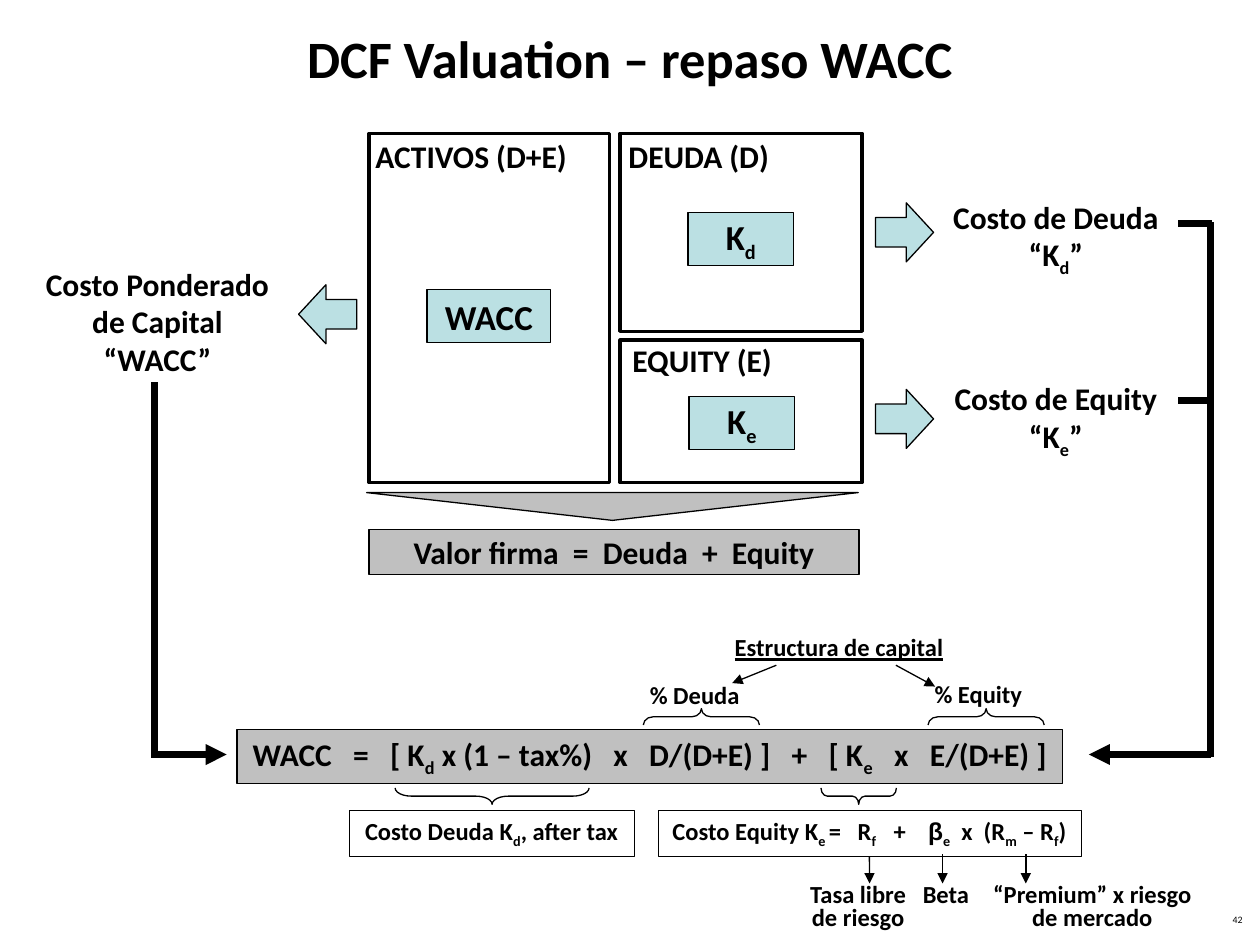
import pptx
import pptx.util
import pptx.dml.color
import pptx.enum.shapes
import pptx.enum.text
import pptx.oxml
import pptx.oxml.ns

Cm, Pt = pptx.util.Cm, pptx.util.Pt
Shape = pptx.enum.shapes.MSO_SHAPE
Align = pptx.enum.text.PP_ALIGN
Anchor = pptx.enum.text.MSO_ANCHOR
COLORS = {"ink": "000000", "panel": "FFFFFF", "rate": "BBE0E3", "result": "C0C0C0"}
RGB = {name: pptx.dml.color.RGBColor.from_string(value) for name, value in COLORS.items()}

deck = pptx.Presentation()
deck.slide_width, deck.slide_height = Cm(25.4), Cm(19.05)
page = deck.slides.add_slide(deck.slide_layouts[6])


def write(box, text, size, align=Align.CENTER, anchor=Anchor.TOP, wrap=True,
          spacing=None, underline=None):
    """Fill a box with one paragraph; every second piece between bars is a subscript."""
    frame = box.text_frame
    para = frame.paragraphs[0]
    for name, value in {"word_wrap": wrap, "vertical_anchor": anchor}.items():
        setattr(frame, name, value)
    for name, value in {"alignment": align, "line_spacing": spacing}.items():
        setattr(para, name, value)
    for index, piece in enumerate(text.split("|")):
        if not piece:
            continue
        span = para.add_run()
        span.text = piece
        style = {"name": "Arial" if piece == "β" else "Calibri", "size": Pt(size),
                 "bold": size > 6, "underline": underline}
        for name, value in style.items():
            setattr(span.font, name, value)
        span.font.color.rgb = RGB["ink"]
        if index % 2:
            span.font._element.set("baseline", "-25000")


def draw(kind, place, fill=None, weight=0.75, rotation=0):
    shape = page.shapes.add_shape(kind, *[Cm(length) for length in place])
    shape.shadow.inherit = False
    shape.rotation = rotation
    if fill:
        shape.fill.solid()
        shape.fill.fore_color.rgb = RGB[fill]
    else:
        shape.fill.background()
    shape.line.color.rgb = RGB["ink"]
    shape.line.width = Pt(weight)
    return shape


# Balance sheet panels
for place in [(7.44, 2.69, 4.85, 7.04), (12.5, 2.69, 4.88, 3.99), (12.5, 6.86, 4.88, 2.87)]:
    draw(Shape.RECTANGLE, place, "panel", 2)

# Filled boxes with a single centred line
for place, fill, text, size in [
    ((8.61, 5.84, 2.49, 1.07), "rate", "WACC", 20),
    ((13.87, 4.29, 2.13, 1.07), "rate", "K|d", 20),
    ((13.89, 8, 2.13, 1.07), "rate", "K|e", 20),
    ((7.44, 10.67, 9.88, 0.91), "result", "Valor firma  =  Deuda  +  Equity", 18),
    ((4.78, 14.71, 16.64, 1.09), "result",
     "WACC   =   [ K|d| x (1 – tax%)   x   D/(D+E) ]   +   [ K|e|   x   E/(D+E) ]", 18),
]:
    write(draw(Shape.RECTANGLE, place, fill), text, size, anchor=Anchor.MIDDLE, wrap=False)

# Outlined boxes that break the formula down
debt_cost = draw(Shape.RECTANGLE, (7.04, 16.33, 5.74, 0.94), weight=0.25)
write(debt_cost, "Costo Deuda K|d|, after tax", 14)
equity_cost = draw(Shape.RECTANGLE, (13.26, 16.33, 8.53, 0.94), weight=0.25)
write(equity_cost, "Costo Equity K|e |=   R|f  |  +    ||β|e|  x  (R|m| – R|f|)", 14)

draw(Shape.ISOSCELES_TRIANGLE, (7.39, 9.93, 9.91, 0.56), "result", rotation=180)

for left, top, rotation in [(17.65, 4.09, 0), (17.65, 7.85, 0), (6.02, 5.74, 180)]:
    arrow = draw(Shape.RIGHT_ARROW, (left, top, 1.17, 1.19), "rate", rotation=rotation)
    arrow.adjustments[0], arrow.adjustments[1] = 0.5, 0.47

# Braces, turned about their centres to point down (90) or up (270)
thickness = 0.33
for x, y, length, rotation in [(9.92, 16.05, 3.91, 90), (17.31, 16.05, 1.52, 90),
                               (14.14, 14.45, 2.34, 270), (19.88, 14.45, 2.34, 270)]:
    place = (x - thickness / 2, y - length / 2, thickness, length)
    brace = draw(Shape.RIGHT_BRACE, place, rotation=rotation)
    brace.adjustments[0] = length / thickness / 12

# Free-standing text
heading = {"size": 18, "align": Align.LEFT, "wrap": False}
cost = {"size": 18}
share = {"size": 14, "align": Align.LEFT}
term = {"size": 14, "spacing": 0.8}
for place, text, style in [
    ((0, 0, 25.4, 2.31), "DCF Valuation – repaso WACC", {"size": 30, "anchor": Anchor.MIDDLE}),
    ((7.32, 2.64, 4.37, 1.02), "ACTIVOS (D+E)", heading),
    ((12.42, 2.64, 3.35, 1.02), "DEUDA (D)", heading),
    ((12.5, 6.76, 3.33, 1.02), "EQUITY (E)", heading),
    ((18.72, 3.86, 5.13, 1.88), "Costo de Deuda “K|d|”", cost),
    ((18.72, 7.52, 5.13, 1.88), "Costo de Equity “K|e|”", cost),
    ((0.61, 5.21, 5.13, 2.54), "Costo Ponderado de Capital “WACC”", cost),
    ((14.35, 12.62, 5.13, 0.86), "Estructura de capital", {"size": 14, "underline": True}),
    ((12.85, 13.59, 2.64, 0.86), "% Deuda", share),
    ((18.59, 13.56, 2.29, 0.86), "% Equity", share),
    ((15.98, 17.7, 2.64, 1.22), "Tasa libre de riesgo", term),
    ((18.31, 17.7, 1.52, 0.74), "Beta", term),
    ((19.71, 17.7, 4.62, 1.22), "“Premium” x riesgo de mercado", term),
    ((19.38, 18.34, 5.92, 0.53), "42", {"size": 5.6, "align": Align.RIGHT, "spacing": 0.8}),
]:
    write(page.shapes.add_textbox(*[Cm(length) for length in place]), text, **style)

# Lines: ends, weight, arrowhead, box whose bottom they leave from
for ends, weight, pointed, source in [
    ((15.65, 13.41, 14.76, 13.77), 0.75, True, None),
    ((18.06, 13.41, 18.85, 13.84), 0.75, True, None),
    ((17.53, 17.27, 17.53, 17.81), 0.75, True, equity_cost),
    ((19, 17.22, 19, 17.81), 0.75, True, None),
    ((20.68, 17.22, 20.68, 17.81), 0.75, True, None),
    ((3.05, 15.21, 4.57, 15.21), 4, True, None),
    ((3.12, 15.24, 3.12, 7.7), 4, False, None),
    ((24.41, 15.27, 24.41, 4.47), 4, False, None),
    ((24.41, 15.21, 21.95, 15.21), 4, True, None),
    ((23.75, 4.5, 24.43, 4.5), 4, False, None),
    ((23.75, 8.08, 24.43, 8.08), 4, False, None),
]:
    line = page.shapes.add_connector(pptx.enum.shapes.MSO_CONNECTOR.STRAIGHT,
                                     *[Cm(length) for length in ends])
    if source is not None:
        line.begin_connect(source, 2)
    line.line.color.rgb = RGB["ink"]
    line.line.width = Pt(weight)
    namespace = pptx.oxml.ns.nsdecls("a")
    if pointed:
        line.line._get_or_add_ln().append(
            pptx.oxml.parse_xml(f'<a:tailEnd {namespace} type="triangle"/>'))
    line._element.spPr.append(pptx.oxml.parse_xml(f"<a:effectLst {namespace}/>"))

deck.save("out.pptx")
